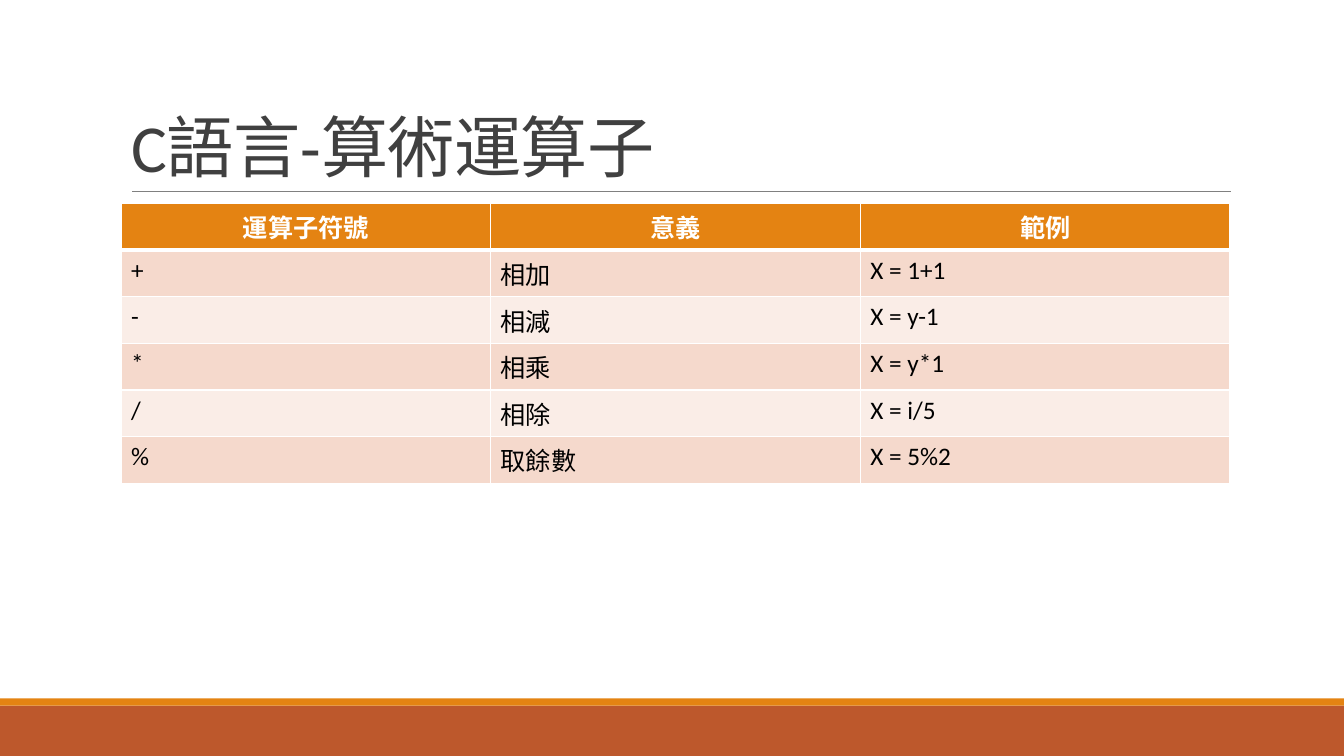
from lxml import etree
from pptx import Presentation
from pptx.dml.color import RGBColor
from pptx.enum.shapes import MSO_CONNECTOR, MSO_SHAPE
from pptx.enum.text import MSO_ANCHOR, MSO_AUTO_SIZE, PP_ALIGN
from pptx.oxml.ns import qn
from pptx.util import Inches, Pt

STRAIGHT = MSO_CONNECTOR.STRAIGHT
RECTANGLE = MSO_SHAPE.RECTANGLE
BOTTOM = MSO_ANCHOR.BOTTOM
NO_FIT = MSO_AUTO_SIZE.NONE
LEFT, CENTER = PP_ALIGN.LEFT, PP_ALIGN.CENTER

WHITE = RGBColor(0xFF, 0xFF, 0xFF)
BLACK = RGBColor(0x00, 0x00, 0x00)
CHARCOAL = RGBColor(0x40, 0x40, 0x40)
GRAY = RGBColor(0x80, 0x80, 0x80)
ORANGE = RGBColor(0xE4, 0x83, 0x12)
RUST = RGBColor(0xBD, 0x58, 0x2C)
DARK_BAND = RGBColor(0xF5, 0xD9, 0xCC)
LIGHT_BAND = RGBColor(0xFA, 0xED, 0xE7)

TITLE = "C語言-算術運算子"
OPERATORS = [
    ("運算子符號", "意義", "範例"),
    ("+", "相加", "X = 1+1"),
    ("-", "相減", "X = y-1"),
    ("*", "相乘", "X = y*1"),
    ("/", "相除", "X = i/5"),
    ("%", "取餘數", "X = 5%2"),
]


class SlideBuilder:
    font_name = "Calibri"

    def __init__(self, slide):
        self.slide = slide

    def add_span(self, para, text, size, color, bold=False, align=LEFT):
        para.alignment = align
        span = para.add_run()
        span.text = text
        formats = {"name": self.font_name, "size": Pt(size), "bold": bold}
        for name, value in formats.items():
            setattr(span.font, name, value)
        span.font.color.rgb = color
        return span

    def bar(self, top, height, color):
        box = self.slide.shapes.add_shape(
            RECTANGLE, 0, Inches(top), Inches(13.33), Inches(height))
        box.shadow.inherit = False
        box.fill.solid()
        box.fill.fore_color.rgb = color
        box.line.fill.background()

    def rule(self, left, right, top, color, width):
        line = self.slide.shapes.add_connector(
            STRAIGHT, Inches(left), Inches(top), Inches(right), Inches(top))
        line.line.color.rgb = color
        line.line.width = Pt(width)
        etree.SubElement(line._element.spPr, qn("a:effectLst"))

    def title(self, text, left, top, width, height):
        box = self.slide.shapes.title
        places = {"left": left, "top": top, "width": width, "height": height}
        for name, value in places.items():
            setattr(box, name, Inches(value))
        frame = box.text_frame
        formats = {"word_wrap": True, "auto_size": NO_FIT, "vertical_anchor": BOTTOM}
        for name, value in formats.items():
            setattr(frame, name, value)
        para = frame.paragraphs[0]
        para.line_spacing = 0.85
        span = self.add_span(para, text, 48, CHARCOAL)
        span.font._element.set("spc", "-50")

    def border(self, cell, side, width):
        line = etree.SubElement(
            cell._tc.get_or_add_tcPr(), qn(f"a:ln{side}"), w=str(Pt(width)))
        fill = etree.SubElement(line, qn("a:solidFill"))
        etree.SubElement(fill, qn("a:srgbClr"), val=str(WHITE))

    def table(self, rows, left, top, width, row_height):
        table = self.slide.shapes.add_table(
            len(rows), len(rows[0]), Inches(left), Inches(top),
            Inches(width), Inches(row_height * len(rows))).table
        for row_index, texts in enumerate(rows):
            header = row_index == 0
            band = DARK_BAND if row_index % 2 else LIGHT_BAND
            for column_index, text in enumerate(texts):
                cell = table.cell(row_index, column_index)
                # The header is set off by a heavier line
                widths = {"L": 1, "R": 1, "T": 3 if row_index == 1 else 1,
                          "B": 3 if header else 1}
                for side, line_width in widths.items():
                    self.border(cell, side, line_width)
                cell.fill.solid()
                cell.fill.fore_color.rgb = ORANGE if header else band
                self.add_span(cell.text_frame.paragraphs[0], text, 18,
                              WHITE if header else BLACK, header,
                              CENTER if header else LEFT)


deck = Presentation()
deck.slide_width, deck.slide_height = Inches(13.33), Inches(7.5)
page = SlideBuilder(deck.slides.add_slide(deck.slide_layouts[5]))

# Footer bars and title rule
page.bar(7, 0.5, RUST)
page.bar(6.93, 0.07, ORANGE)
page.rule(1.31, 12.21, 1.9, GRAY, 0.5)

# Title and operator table
page.title(TITLE, 1.2, 0.31, 11, 1.59)
page.table(OPERATORS, 1.2, 2.02, 11, 0.41)

deck.save("out.pptx")
